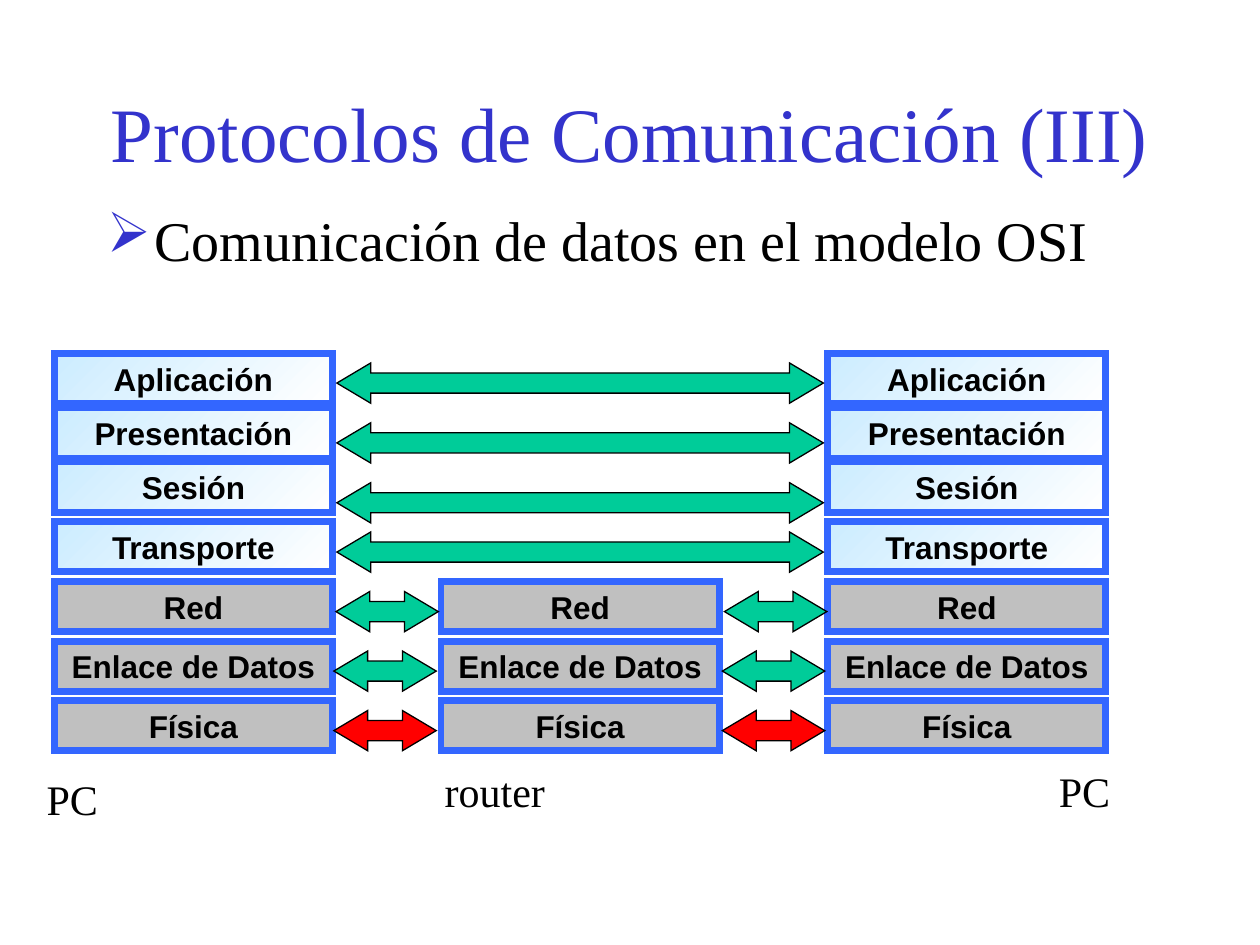
from dataclasses import dataclass

from lxml.etree import SubElement
from pptx import Presentation
from pptx.dml.color import RGBColor as RGB
from pptx.enum.shapes import MSO_SHAPE as Shape
from pptx.enum.text import MSO_ANCHOR as Anchor, PP_ALIGN as Align
from pptx.oxml.ns import qn
from pptx.util import Pt


@dataclass(frozen=True)
class Theme:
    title: RGB = RGB.from_string("3333CC")
    ink: RGB = RGB.from_string("000000")
    border: RGB = RGB.from_string("3366FF")
    network_fill: RGB = RGB.from_string("C0C0C0")
    host_light: RGB = RGB.from_string("FFFFFF")
    host_tint: RGB = RGB.from_string("CCECFF")
    logical: RGB = RGB.from_string("00CC99")
    physical: RGB = RGB.from_string("FF0000")
    serif: str = "Times New Roman"
    sans: str = "Arial"
    title_size: int = 44
    body_size: int = 32
    label_size: int = 24
    layer_size: int = 18


class ProtocolSlide:
    """Draws the parts of a protocol stack diagram in one theme."""

    def __init__(self, slide, theme):
        self.slide = slide
        self.theme = theme

    def style(self, paragraph, size, color, name, bold=False):
        font = paragraph.font
        font.size = Pt(size)
        font.color.rgb = color
        font.name = name
        font.bold = bold

    def text(self, words, left, top, width, height, size, color, align=Align.LEFT, anchor=Anchor.TOP, bullet=None):
        box = self.slide.shapes.add_textbox(Pt(left), Pt(top), Pt(width), Pt(height))
        frame = box.text_frame
        frame.word_wrap = True
        frame.vertical_anchor = anchor
        paragraph = frame.paragraphs[0]
        paragraph.text = words
        paragraph.alignment = align
        if bullet:
            self.bullet(paragraph, bullet)
        self.style(paragraph, size, color, self.theme.serif)

    def bullet(self, paragraph, character):
        properties = paragraph._p.get_or_add_pPr()
        properties.set("marL", str(Pt(27)))
        properties.set("indent", str(Pt(-27)))
        color = SubElement(properties, qn("a:buClr"))
        SubElement(color, qn("a:srgbClr"), val=str(self.theme.title))
        SubElement(properties, qn("a:buChar"), char=character)

    def shape(self, kind, left, top, width, height, line_color, line_width):
        shape = self.slide.shapes.add_shape(kind, Pt(left), Pt(top), Pt(width), Pt(height))
        shape.shadow.inherit = False
        shape.line.color.rgb = line_color
        shape.line.width = Pt(line_width)
        SubElement(shape.element.spPr.find(qn("a:ln")), qn("a:miter"), lim="800000")
        return shape

    def layer(self, name, left, top, is_host):
        theme = self.theme
        box = self.shape(Shape.RECTANGLE, left, top, 159, 28.8, theme.border, 4)
        if is_host:
            box.fill.gradient()
            box.fill.gradient_angle = 135
            for stop, color in zip(box.fill.gradient_stops, (theme.host_light, theme.host_tint)):
                stop.color.rgb = color
        else:
            box.fill.solid()
            box.fill.fore_color.rgb = theme.network_fill
        frame = box.text_frame
        frame.word_wrap = True
        frame.vertical_anchor = Anchor.TOP
        paragraph = frame.paragraphs[0]
        paragraph.text = name
        paragraph.alignment = Align.CENTER
        self.style(paragraph, theme.layer_size, theme.ink, theme.sans, bold=True)

    def arrow(self, left, top, width, color):
        arrow = self.shape(Shape.LEFT_RIGHT_ARROW, left, top, width, 23, self.theme.ink, 0.75)
        arrow.adjustments[0] = 0.5
        arrow.adjustments[1] = 0.84
        arrow.fill.solid()
        arrow.fill.fore_color.rgb = color


def main():
    presentation = Presentation()
    presentation.slide_width = Pt(720)
    presentation.slide_height = Pt(540)
    theme = Theme()
    page = ProtocolSlide(presentation.slides.add_slide(presentation.slide_layouts[6]), theme)

    page.text("Protocolos de Comunicación (III)", 54, 30, 612, 90, theme.title_size, theme.title,
              Align.CENTER, Anchor.MIDDLE)
    page.text("Comunicación de datos en el modelo OSI", 54, 114, 612, 60, theme.body_size, theme.ink, bullet="➢")

    host_layers = [("Aplicación", 202), ("Presentación", 233), ("Sesión", 264), ("Transporte", 298)]
    network_layers = [("Red", 332.4), ("Enlace de Datos", 366.4), ("Física", 400.4)]
    first_pc, router, second_pc = (31 + 221 * column for column in range(3))
    for left in (first_pc, router, second_pc):
        for name, top in network_layers:
            page.layer(name, left, top, is_host=False)
        if left != router:
            for name, top in host_layers:
                page.layer(name, left, top, is_host=True)

    for words, left, top in (("PC", 19.5, 438.5), ("PC", 598, 434), ("router", 247, 434)):
        page.text(words, left, top, 85, 36, theme.label_size, theme.ink)

    for top in (207.4, 241.6, 275.8, 304):
        page.arrow(192.5, top, 278, theme.logical)
    links = [(192, 338, theme.logical), (190.8, 372, theme.logical), (190.8, 406, theme.physical)]
    for shift in (0, 222):
        for left, top, color in links:
            page.arrow(left + shift, top, 58.5, color)

    presentation.save("out.pptx")


if __name__ == "__main__":
    main()
